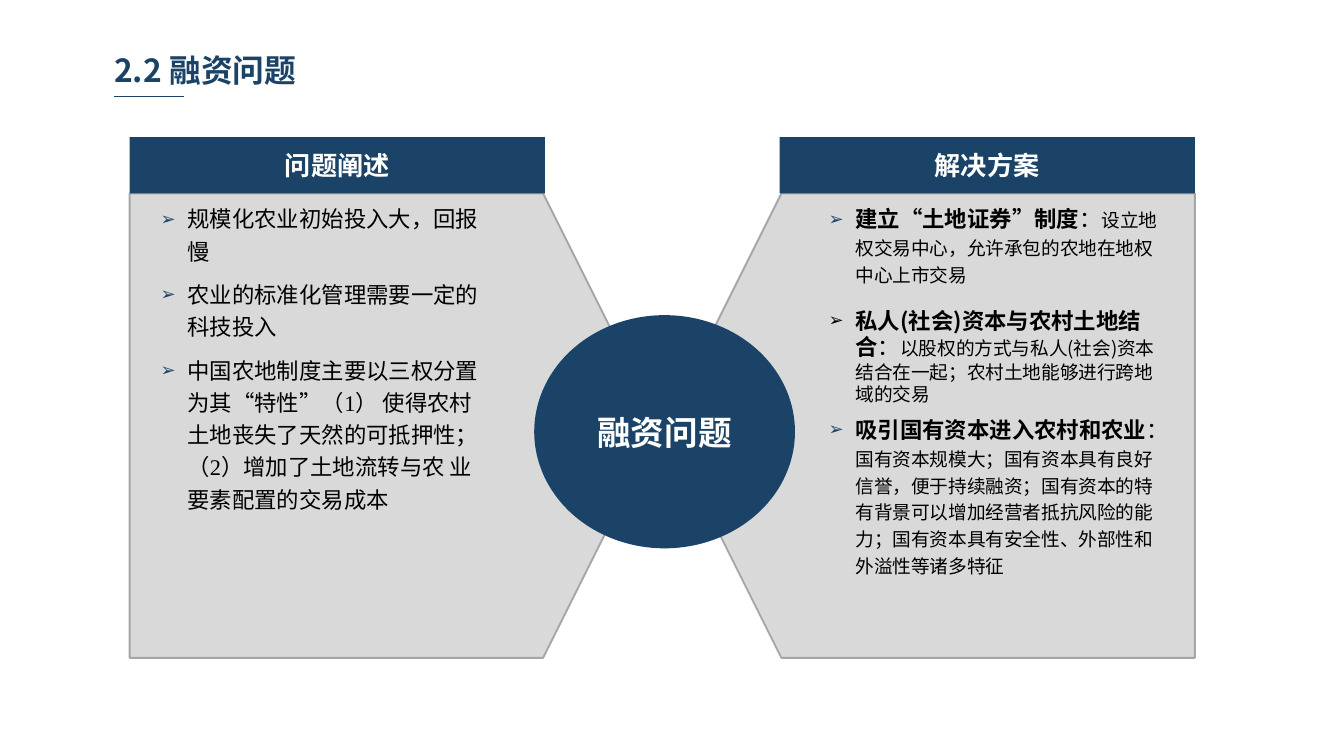
from lxml import etree
from pptx import Presentation
from pptx.dml.color import RGBColor
from pptx.enum.shapes import MSO_CONNECTOR, MSO_SHAPE
from pptx.enum.text import MSO_ANCHOR, MSO_AUTO_SIZE, PP_ALIGN
from pptx.oxml.ns import qn
from pptx.util import Pt

PX = 4572  # 200 px to the inch
RECT, OVAL, PLATE = MSO_SHAPE.RECTANGLE, MSO_SHAPE.OVAL, MSO_SHAPE.PENTAGON
LINE = MSO_CONNECTOR.STRAIGHT
TOP, MIDDLE = MSO_ANCHOR.TOP, MSO_ANCHOR.MIDDLE
LEFT, CENTER = PP_ALIGN.LEFT, PP_ALIGN.CENTER
FIXED = MSO_AUTO_SIZE.NONE
NAVY, GREY, EDGE, WHITE, BLACK = "1B4367", "D9D9D9", "A6A6A6", "FFFFFF", "000000"
SANS, SERIF = "Noto Sans CJK SC", "Times New Roman"


def color(code):
    return RGBColor.from_string(code)


def emu(*vals):
    return [v * PX for v in vals]


class Deck:
    def __init__(self, wide, high):
        self.prs = Presentation()
        self.prs.slide_width, self.prs.slide_height = emu(wide, high)
        self.slide = self.prs.slides.add_slide(self.prs.slide_layouts[5])
        self.shapes = self.slide.shapes

    def style(self, run, size, face, code, bold=False):
        font = run.font
        font.size, font.name, font.bold = Pt(size), face, bold
        font.color.rgb = color(code)
        east = etree.SubElement(font._element, qn("a:ea"))
        east.set("typeface", SANS)

    def frame(self, shape, anchor, side, edge):
        frame = shape.text_frame
        frame.word_wrap, frame.auto_size = True, FIXED
        frame.vertical_anchor = anchor
        frame.margin_left, frame.margin_right = emu(side, side)
        frame.margin_top, frame.margin_bottom = emu(edge, edge)
        return frame

    def title(self, text, *box):
        shape = self.shapes.title
        shape.left, shape.top, shape.width, shape.height = emu(*box)
        frame = self.frame(shape, TOP, 14, 8)
        frame.text = text
        para = frame.paragraphs[0]
        para.alignment = LEFT
        self.style(para.runs[0], 17, SANS, NAVY, True)

    def rule(self, *ends):
        line = self.shapes.add_connector(LINE, *emu(*ends))
        line.line.color.rgb, line.line.width = color(NAVY), Pt(0.75)
        etree.SubElement(line._element.spPr, qn("a:effectLst"))

    def shape(self, kind, box, fill, edge=None):
        shape = self.shapes.add_shape(kind, *emu(*box))
        shape.shadow.inherit = False
        shape.fill.solid()
        shape.fill.fore_color.rgb = color(fill)
        if edge:
            shape.line.color.rgb, shape.line.width = color(edge), Pt(1)
        else:
            shape.line.fill.background()
        return shape

    def plate(self, box, turn=0):
        shape = self.shape(PLATE, box, GREY, EDGE)
        shape.adjustments[0] = 0.25
        shape.rotation = turn

    def label(self, kind, box, text, size, edge=0):
        shape = self.shape(kind, box, NAVY)
        frame = self.frame(shape, MIDDLE, 10, edge)
        frame.text = text
        para = frame.paragraphs[0]
        para.alignment = CENTER
        self.style(para.runs[0], size, SERIF, WHITE, True)

    def bullet(self, para, code):
        props = para._p.get_or_add_pPr()
        props.set("marL", str(40 * PX))
        props.set("indent", str(-40 * PX))
        if code:
            tint = etree.SubElement(props, qn("a:buClr"))
            etree.SubElement(tint, qn("a:srgbClr")).set("val", code)
        etree.SubElement(props, qn("a:buSzPct")).set("val", "80000")
        etree.SubElement(props, qn("a:buFont")).set("typeface", "Arial")
        etree.SubElement(props, qn("a:buChar")).set("char", "➢")

    def bullets(self, box, items, face, tight=()):
        """Each item is a list of (text, size, bold); tight rows are set solid."""
        frame = self.frame(self.shapes.add_textbox(*emu(*box)), TOP, 18, 10)
        for i, parts in enumerate(items):
            para = frame.add_paragraph() if i else frame.paragraphs[0]
            solid = i in tight
            para.line_spacing = 1.0 if solid else 1.2
            para.space_before = Pt(8 if solid else 3)
            para.space_after = Pt(0 if solid else 3)
            self.bullet(para, None if solid else NAVY)
            for text, size, bold in parts:
                run = para.add_run()
                run.text = text
                self.style(run, size, face, BLACK, bold)


PROBLEMS = [
    "规模化农业初始投入大，回报慢",
    "农业的标准化管理需要一定的科技投入",
    "中国农地制度主要以三权分置为其“特性”（1） 使得农村土地丧失了天然的可抵押性；"
    "（2）增加了土地流转与农 业要素配置的交易成本",
]
ANSWERS = [
    ("建立“土地证券”制度", "设立地权交易中心，允许承包的农地在地权中心上市交易"),
    ("私人(社会)资本与农村土地结合",
     "以股权的方式与私人(社会)资本结合在一起；农村土地能够进行跨地域的交易"),
    ("吸引国有资本进入农村和农业",
     "国有资本规模大；国有资本具有良好信誉，便于持续融资；国有资本的特有背景"
     "可以增加经营者抵抗风险的能力；国有资本具有安全性、外部性和外溢性等诸多特征"),
]


def main():
    deck = Deck(2000, 1125)

    # Title and its rule
    deck.title("2.2 融资问题", 156, 68, 494, 72)
    deck.rule(170, 144, 274, 144)

    # Panels that point at the centre
    deck.plate((193, 288, 788, 691))
    deck.plate((990, 288, 788, 691), 180)
    deck.label(OVAL, (795, 469, 388, 347), "融资问题", 18, 10)

    # Panel headings
    for left, text in ((193, "问题阐述"), (1160, "解决方案")):
        deck.label(RECT, (left, 204, 618, 84), text, 14)

    # Panel texts
    deck.bullets((221, 288, 512, 658), [[(text, 12, False)] for text in PROBLEMS], SERIF)
    rows = [[(head, 12, True), ("：", 12, False), (text, 10, False)]
            for head, text in ANSWERS]
    deck.bullets((1215, 288, 528, 672), rows, SANS, tight=(1,))

    deck.prs.save("out.pptx")


if __name__ == "__main__":
    main()
